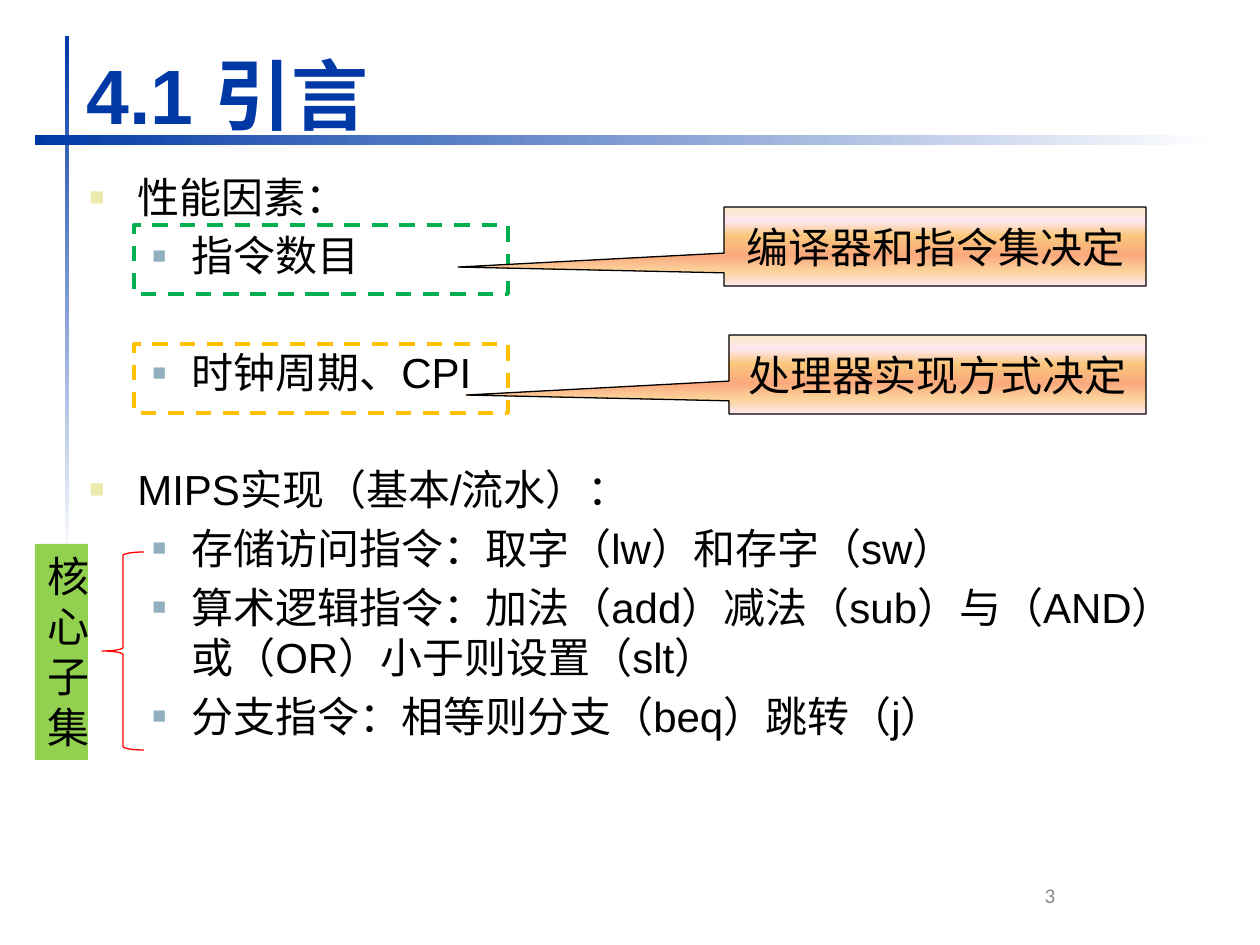
from lxml import etree
from pptx import Presentation
from pptx import util as u
from pptx.dml.color import RGBColor
from pptx.enum import dml, shapes, text
from pptx.oxml import ns

SCALE = 914400 / 126

BLUE = RGBColor(0x00, 0x39, 0xA6)
WHITE = RGBColor(0xFF, 0xFF, 0xFF)
BLACK = RGBColor(0x00, 0x00, 0x00)
GRAY = RGBColor(0x89, 0x89, 0x89)
RED = RGBColor(0xFF, 0x00, 0x00)
LIME = RGBColor(0x92, 0xD0, 0x50)
GREEN = RGBColor(0x00, 0xB0, 0x50)
AMBER = RGBColor(0xFF, 0xC0, 0x00)
SAND = RGBColor(0xEC, 0xEA, 0xAC)
STEEL = RGBColor(0x91, 0xAF, 0xBF)
CREAM = RGBColor(0xFB, 0xEA, 0xC7)
PINK = RGBColor(0xFE, 0xE7, 0xF2)
ORANGE = RGBColor(0xFA, 0xC7, 0x7D)
CORAL = RGBColor(0xFB, 0xA9, 0x7D)
PEACH = RGBColor(0xFB, 0xD4, 0x9C)

FADE = [(0, BLUE), (100, WHITE)]
GLOW = [(0, CREAM), (18, PINK), (36, ORANGE), (61, CORAL), (82, PEACH), (100, PINK)]

BULLETS = [(48, -48, SAND, 60), (102, -39, STEEL, 55)]
GAP = 4.8
WIDE_GAP = 38
OUTLINE = [
    (0, "性能因素：", 0),
    (1, "指令数目", GAP),
    (1, "时钟周期、CPI", WIDE_GAP),
    (0, "MIPS实现（基本/流水）：", WIDE_GAP),
    (1, "存储访问指令：取字（lw）和存字（sw）", GAP),
    (1, "算术逻辑指令：加法（add）减法（sub）与（AND）或（OR）小于则设置（slt）", GAP),
    (1, "分支指令：相等则分支（beq）跳转（j）", GAP),
]


def px(length):
    return u.Emu(round(length * SCALE))


def write(paragraph, content, size=24, color=BLACK, font="Arial", bold=False, align=None):
    paragraph.alignment = align
    run = paragraph.add_run()
    run.text = content
    run.font.size = u.Pt(size)
    run.font.name = font
    run.font.bold = bold
    run.font.color.rgb = color


def add_frame(slide, box, anchor=text.MSO_ANCHOR.TOP):
    frame = slide.shapes.add_textbox(*map(px, box)).text_frame
    frame.word_wrap = True
    frame.vertical_anchor = anchor
    return frame


def add_figure(slide, preset, box, fill=None, line=None, width=0.75, dash=None):
    figure = slide.shapes.add_shape(preset, *map(px, box))
    figure.shadow.inherit = False
    if fill is None:
        figure.fill.background()
    else:
        figure.fill.solid()
        figure.fill.fore_color.rgb = fill
    if line is None:
        figure.line.fill.background()
    else:
        figure.line.color.rgb = line
        figure.line.width = u.Pt(width)
        figure.line.dash_style = dash
    return figure


def blend(figure, stops, angle):
    figure.fill.gradient()
    figure.fill.gradient_angle = angle
    stop_list = figure.element.spPr.find(ns.qn("a:gradFill")).find(ns.qn("a:gsLst"))
    for stop in list(stop_list):
        stop_list.remove(stop)
    for position, color in stops:
        stop = etree.SubElement(stop_list, ns.qn("a:gs"), pos=str(position * 1000))
        etree.SubElement(stop, ns.qn("a:srgbClr"), val=str(color))


def add_bar(slide, box, angle):
    blend(add_figure(slide, shapes.MSO_SHAPE.RECTANGLE, box), FADE, angle)


def add_bullet(paragraph, level):
    margin, indent, color, percent = BULLETS[level]
    properties = paragraph._p.get_or_add_pPr()
    properties.set("marL", str(px(margin)))
    properties.set("indent", str(px(indent)))
    bullet_color = etree.SubElement(properties, ns.qn("a:buClr"))
    etree.SubElement(bullet_color, ns.qn("a:srgbClr"), val=str(color))
    etree.SubElement(properties, ns.qn("a:buSzPct"), val=str(percent * 1000))
    etree.SubElement(properties, ns.qn("a:buFont"), typeface="Arial")
    etree.SubElement(properties, ns.qn("a:buChar"), char="■")


def add_outline(slide, box):
    frame = add_frame(slide, box)
    for index, (level, content, gap) in enumerate(OUTLINE):
        paragraph = frame.add_paragraph() if index else frame.paragraphs[0]
        add_bullet(paragraph, level)
        paragraph.level = level
        paragraph.space_before = u.Pt(gap)
        write(paragraph, content)


def add_label(slide, content, box):
    label = add_figure(slide, shapes.MSO_SHAPE.RECTANGLE, box, fill=LIME)
    label.text_frame.word_wrap = True
    label.text_frame.vertical_anchor = text.MSO_ANCHOR.TOP
    write(label.text_frame.paragraphs[0], content, align=text.PP_ALIGN.CENTER)


def add_highlight(slide, top, color):
    add_figure(slide, shapes.MSO_SHAPE.RECTANGLE, (134, top, 374, 69),
               line=color, width=2.25, dash=dml.MSO_LINE.DASH)


def add_callout(slide, content, box):
    callout = add_figure(slide, shapes.MSO_SHAPE.RECTANGULAR_CALLOUT, box, line=BLACK)
    callout.adjustments[0] = -1.13
    callout.adjustments[1] = 0.26
    blend(callout, GLOW, 270)
    callout.text_frame.word_wrap = True
    callout.text_frame.vertical_anchor = text.MSO_ANCHOR.MIDDLE
    write(callout.text_frame.paragraphs[0], content, align=text.PP_ALIGN.CENTER)


def main():
    deck = Presentation()
    deck.slide_width, deck.slide_height = px(1260), px(945)
    slide = deck.slides.add_slide(deck.slide_layouts[6])

    add_bar(slide, (65, 36, 4, 525), 270)
    add_bar(slide, (35, 135, 1180, 10), 0)

    title = add_frame(slide, (74, 16, 1134, 130), text.MSO_ANCHOR.BOTTOM)
    write(title.paragraphs[0], "4.1 引言", size=44, color=BLUE, bold=True)
    add_outline(slide, (77, 165, 1134, 662))
    page_number = add_frame(slide, (903, 876, 294, 50))
    write(page_number.paragraphs[0], "3", size=12, color=GRAY, font="Calibri",
          align=text.PP_ALIGN.CENTER)

    add_figure(slide, shapes.MSO_SHAPE.LEFT_BRACE, (102, 552, 42, 198), line=RED)
    add_label(slide, "核心子集", (35, 544, 53, 216))

    add_highlight(slide, 344, AMBER)
    add_callout(slide, "处理器实现方式决定", (729, 335, 417, 79))
    add_highlight(slide, 225, GREEN)
    add_callout(slide, "编译器和指令集决定", (724, 207, 422, 79))

    deck.save("out.pptx")


if __name__ == "__main__":
    main()
